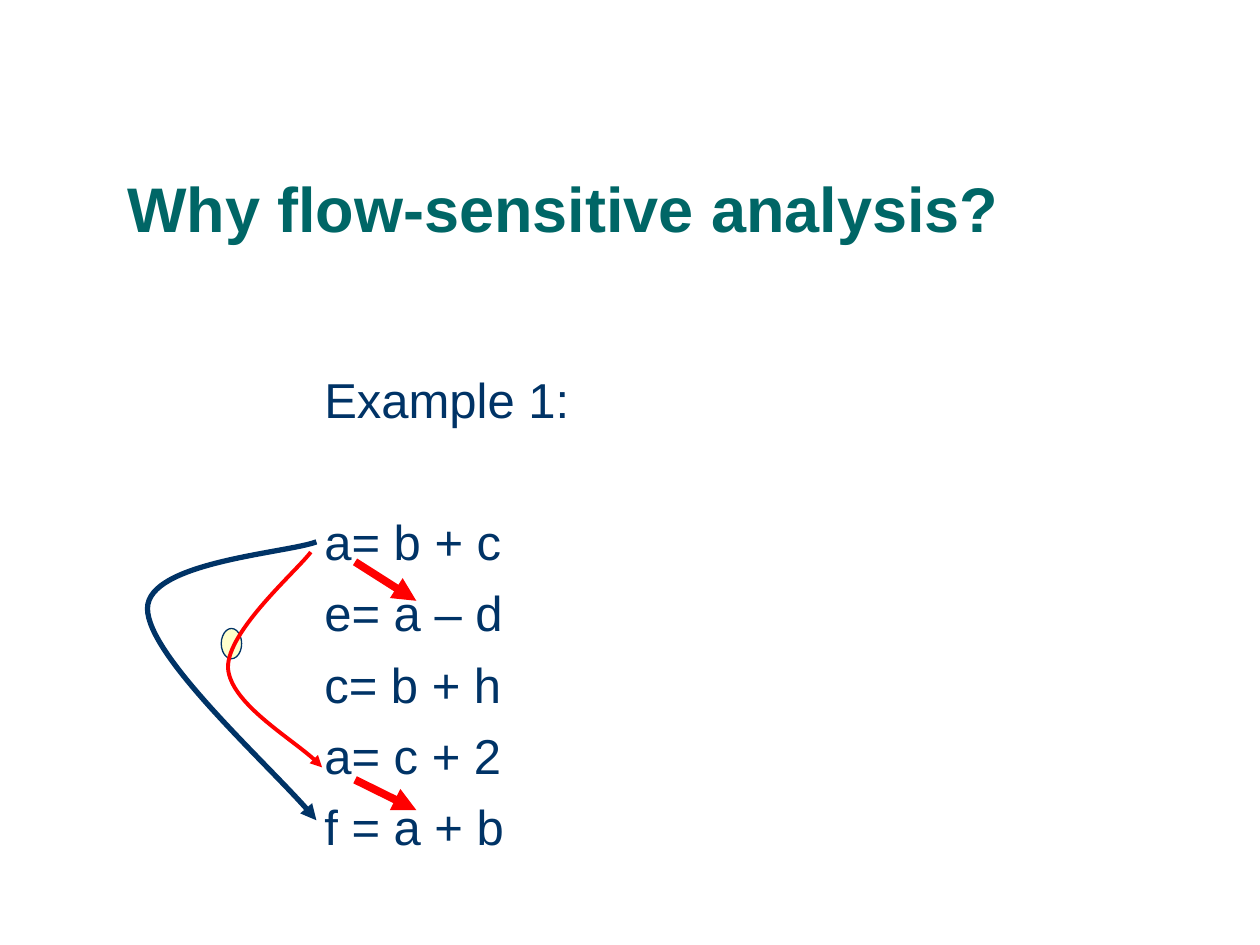
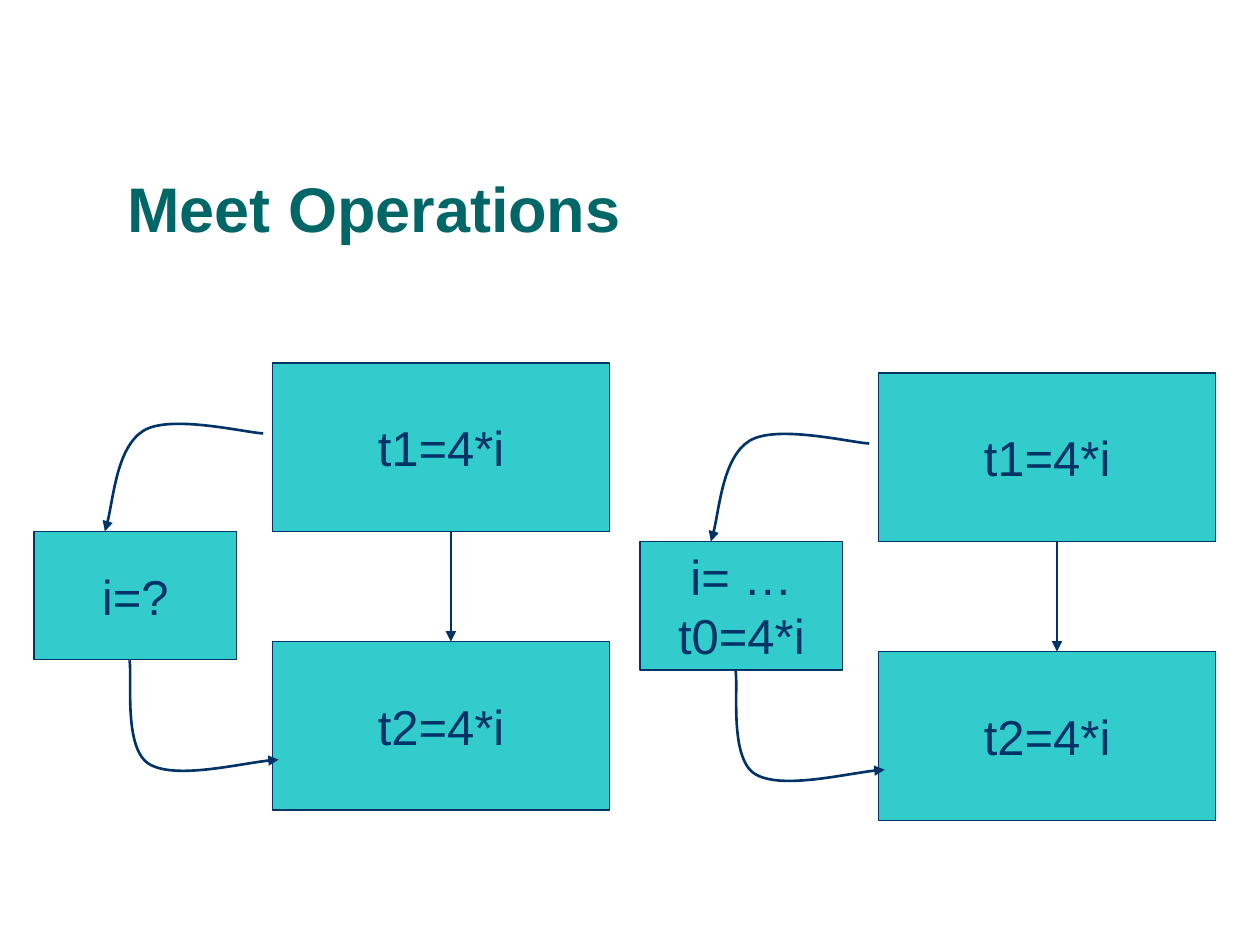
from dataclasses import dataclass

from lxml.etree import SubElement
from pptx import Presentation
from pptx.dml.color import RGBColor
from pptx.enum.shapes import MSO_CONNECTOR, MSO_SHAPE
from pptx.enum.text import MSO_ANCHOR, MSO_AUTO_SIZE, PP_ALIGN
from pptx.oxml.ns import qn
from pptx.util import Inches, Pt

TEAL = RGBColor(0x00, 0x66, 0x66)
NAVY = RGBColor(0x00, 0x33, 0x66)
TURQUOISE = RGBColor(0x33, 0xCC, 0xCC)
CREAM = RGBColor(0xFF, 0xFF, 0xCC)
RED = RGBColor(0xFF, 0x00, 0x00)

FONT = "Arial"
LINE_PITCH = 33.7
PARAGRAPH_GAP = 7
TITLE_ONLY = 5


@dataclass
class Box:
    """A region in inches; parts inside it are placed in percent of its size."""
    left: float
    top: float
    width: float
    height: float

    def point(self, x, y):
        return (Inches(self.left + self.width * x / 100),
                Inches(self.top + self.height * y / 100))

    def area(self, x, y, w, h):
        return (*self.point(x, y), Inches(self.width * w / 100),
                Inches(self.height * h / 100))


def style_font(p, size, color, bold=False):
    p.font.name = FONT
    p.font.size = Pt(size)
    p.font.color.rgb = color
    p.font.bold = bold


def write_lines(tf, lines, align=PP_ALIGN.LEFT):
    for i, line in enumerate(lines):
        p = tf.paragraphs[0] if i == 0 else tf.add_paragraph()
        p.text = line
        p.alignment = align
        p.line_spacing = Pt(LINE_PITCH)
        style_font(p, 28, NAVY)


def add_titled_slide(prs, title):
    slide = prs.slides.add_slide(prs.slide_layouts[TITLE_ONLY])
    sp = slide.shapes.title
    sp.left, sp.top, sp.width, sp.height = map(Inches, (0.91, 0.91, 8.51, 1.09))
    tf = sp.text_frame
    tf.text = title
    tf.auto_size = MSO_AUTO_SIZE.NONE
    tf.vertical_anchor = MSO_ANCHOR.BOTTOM
    p = tf.paragraphs[0]
    p.alignment = PP_ALIGN.LEFT
    p.line_spacing = 0.9
    style_font(p, 36, TEAL, bold=True)
    return slide


def add_filled(slide, kind, area, fill):
    sp = slide.shapes.add_shape(kind, *area)
    sp.shadow.inherit = False
    sp.fill.solid()
    sp.fill.fore_color.rgb = fill
    sp.line.color.rgb = NAVY
    sp.line.width = Pt(0.75)
    return sp


def add_block(slide, area, lines):
    tf = add_filled(slide, MSO_SHAPE.RECTANGLE, area, TURQUOISE).text_frame
    tf.word_wrap = False
    tf.vertical_anchor = MSO_ANCHOR.MIDDLE
    write_lines(tf, lines, PP_ALIGN.CENTER)


def style_arrow(sp, color, width):
    sp.line.color.rgb = color
    sp.line.width = Pt(width)
    SubElement(sp.line._get_or_add_ln(), qn("a:tailEnd"), type="triangle")


def add_arrow(slide, start, end, color, width):
    cxn = slide.shapes.add_connector(MSO_CONNECTOR.STRAIGHT, *start, *end)
    style_arrow(cxn, color, width)
    SubElement(cxn._element.spPr, qn("a:effectLst"))


def add_curved_arrow(slide, box, points, color, width):
    """Draw cubic curves: a start, then two control points and an end for each."""
    start, *rest = [box.point(*pt) for pt in points]
    builder = slide.shapes.build_freeform(*start)
    builder.add_line_segments(rest, close=False)
    sp = builder.convert_to_shape()
    outline = sp._element.find(".//" + qn("a:path"))
    segments = outline.findall(qn("a:lnTo"))
    for i in range(0, len(segments), 3):
        curve = SubElement(outline, qn("a:cubicBezTo"))
        for segment in segments[i:i + 3]:
            curve.append(segment[0])
            outline.remove(segment)
    sp.fill.background()
    style_arrow(sp, color, width)
    sp.shadow.inherit = False


def add_code_example(slide, box):
    add_filled(slide, MSO_SHAPE.OVAL, box.area(8.4, 51.8, 1.8, 5.9), CREAM)

    tf = slide.shapes.add_textbox(*box.area(16.4, 0, 83.6, 100)).text_frame
    tf.word_wrap = True
    write_lines(tf, ["Example 1:", "a= b + c", "e= a – d", "c= b + h",
                     "a= c + 2", "f = a + b"])
    for p in tf.paragraphs[1:]:
        p.space_before = Pt(PARAGRAPH_GAP)
    tf.paragraphs[1].space_before = Pt(2 * PARAGRAPH_GAP + LINE_PITCH)

    for y1, y2 in ((38.8, 46.4), (81.3, 87.2)):
        add_arrow(slide, box.point(20.2, y1), box.point(25.6, y2), RED, 4.5)
    add_curved_arrow(slide, box, [
        (16.3, 36.9), (15.1, 40.5), (8.9, 52.3), (9, 59.5),
        (9.2, 66.3), (15.7, 74.7), (17.3, 78.9)], RED, 2.25)
    add_curved_arrow(slide, box, [
        (16.8, 34.9), (14.2, 37.1), (1.9, 38.8), (1.9, 47.9),
        (1.9, 57), (13.7, 80.6), (16.8, 89.2)], NAVY, 3)


def add_flow_graph(slide, box, side_lines):
    """Two stacked blocks with a detour through a side block."""
    block_h = 37.7
    lower_y = 100 - block_h
    add_block(slide, box.area(41.4, 0, 58.6, block_h), ["t1=4*i"])
    add_block(slide, box.area(41.4, lower_y, 58.6, block_h), ["t2=4*i"])
    add_block(slide, box.area(0, block_h, 35.2, 28.7), side_lines)
    add_curved_arrow(slide, box, [
        (39.8, 15.8), (36.3, 15.5), (23.6, 11.5), (19, 15.2),
        (14.4, 18.9), (13.6, 33.2), (12.3, block_h)], NAVY, 1.5)
    add_curved_arrow(slide, box, [
        (16.6, 66.5), (17.1, 70.4), (15.5, 85.9), (19.9, 89.6),
        (24.3, 93.2), (37.6, 89), (42.5, 88.7)], NAVY, 1.5)
    add_arrow(slide, box.point(72.4, block_h), box.point(72.4, lower_y), NAVY, 1.5)


def main():
    prs = Presentation()
    prs.slide_width, prs.slide_height = Inches(10), Inches(7.5)

    slide = add_titled_slide(prs, "Why flow-sensitive analysis?")
    add_code_example(slide, Box(1, 2.88, 9, 4.07))

    slide = add_titled_slide(prs, "Meet Operations")
    add_flow_graph(slide, Box(0.27, 2.88, 4.57, 3.55), ["i=?"])
    add_flow_graph(slide, Box(5.08, 2.96, 4.57, 3.55), ["i= …", "t0=4*i"])

    prs.save("out.pptx")


if __name__ == "__main__":
    main()
